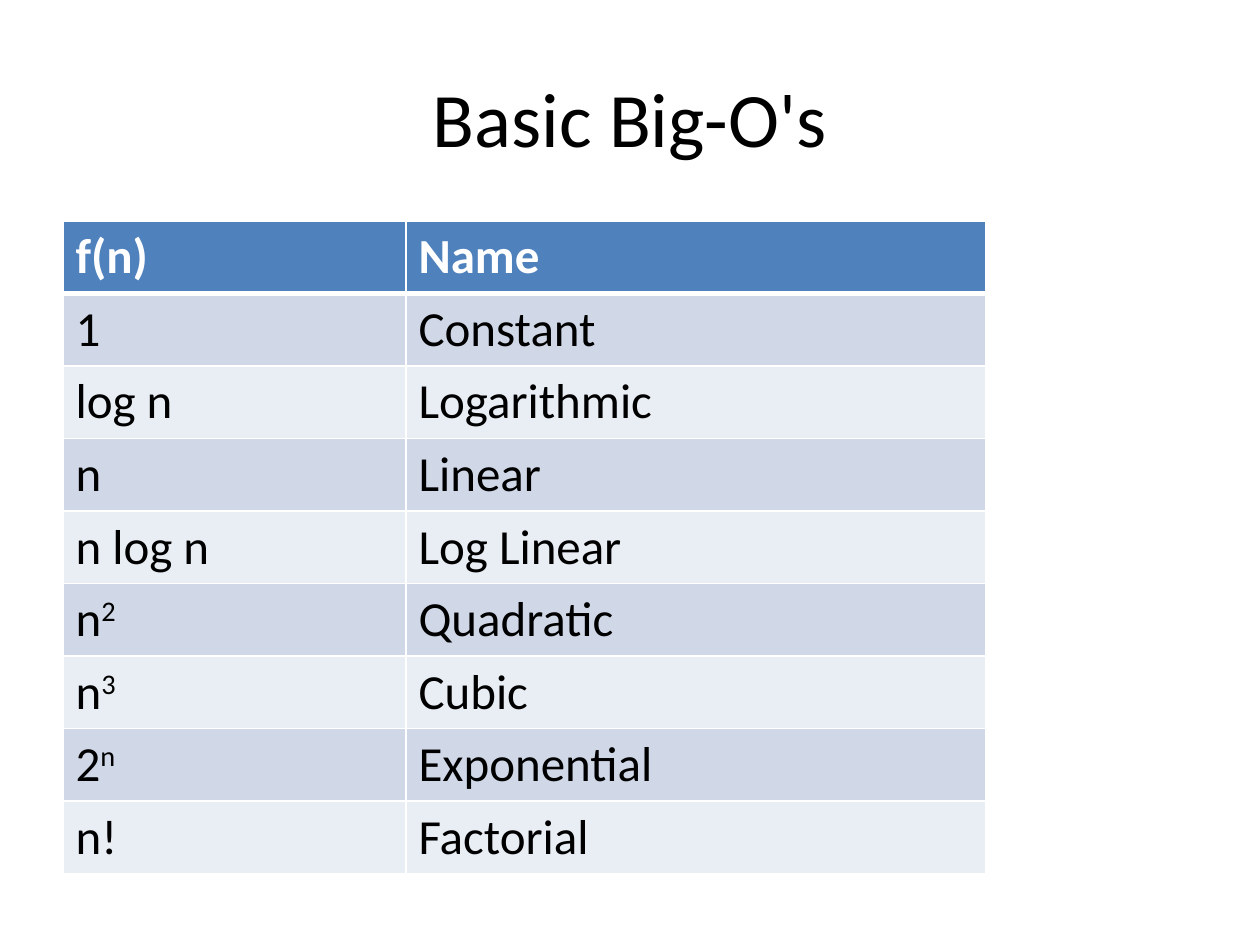
"""Build the slide that lists the basic Big-O growth classes."""
from lxml import etree
from pptx import Presentation
from pptx import util as u
from pptx.dml.color import RGBColor
from pptx.enum import text
from pptx.oxml.ns import qn

GROWTH_CLASSES = [
    ("f(n)", "Name"),
    ("1", "Constant"),
    ("log n", "Logarithmic"),
    ("n", "Linear"),
    ("n log n", "Log Linear"),
    ("n^2", "Quadratic"),
    ("n^3", "Cubic"),
    ("2^n", "Exponential"),
    ("n!", "Factorial"),
]


def px(length):
    return u.Emu(round(length * 914400 / 126))


def color(value):
    return RGBColor.from_string(value)


class SlideBuilder:
    font = "Calibri"
    ink, paper = "000000", "FFFFFF"
    header, bands = "4F81BD", ("E9EDF4", "D0D8E8")

    def __init__(self, presentation):
        self.slide = presentation.slides.add_slide(presentation.slide_layouts[5])

    def style(self, run, size, value, bold=False):
        run.font.name = self.font
        run.font.size = u.Pt(size)
        run.font.bold = bold
        run.font.color.rgb = color(value)

    def title(self, words, left, top, width, height):
        shape = self.slide.shapes.title
        shape.left, shape.top = px(left), px(top)
        shape.width, shape.height = px(width), px(height)
        frame = shape.text_frame
        frame.text = words
        frame.vertical_anchor = text.MSO_ANCHOR.MIDDLE
        paragraph = frame.paragraphs[0]
        paragraph.alignment = text.PP_ALIGN.CENTER
        self.style(paragraph.runs[0], 44, self.ink)

    def border(self, cell, side, points):
        properties = cell._tc.get_or_add_tcPr()
        line = etree.SubElement(properties, qn(f"a:ln{side}"), w=str(u.Pt(points)))
        fill = etree.SubElement(line, qn("a:solidFill"))
        etree.SubElement(fill, qn("a:srgbClr"), val=self.paper)

    def cell(self, cell, words, row):
        is_header = row == 0
        for side, points in (("L", 1), ("R", 1), ("T", 3 if row == 1 else 1), ("B", 3 if is_header else 1)):
            self.border(cell, side, points)
        cell.fill.solid()
        cell.fill.fore_color.rgb = color(self.header if is_header else self.bands[row % 2])
        base, _, exponent = words.partition("^")
        paragraph = cell.text_frame.paragraphs[0]
        for part in filter(None, (base, exponent)):
            run = paragraph.add_run()
            run.text = part
            self.style(run, 28, self.paper if is_header else self.ink, is_header)
        if exponent:
            run.font._element.set("baseline", "30000")

    def table(self, rows, left, top, widths, row_height):
        frame = self.slide.shapes.add_table(
            len(rows), len(widths), px(left), px(top), px(sum(widths)), px(row_height * len(rows)))
        table = frame.table
        for column, width in zip(table.columns, widths):
            column.width = px(width)
        for row, entries in enumerate(rows):
            table.rows[row].height = px(row_height)
            for column, words in enumerate(entries):
                self.cell(table.cell(row, column), words, row)


def main():
    presentation = Presentation()
    presentation.slide_width, presentation.slide_height = px(1260), px(945)
    builder = SlideBuilder(presentation)
    builder.title("Basic Big-O's", 63, 38, 1134, 158)
    builder.table(GROWTH_CLASSES, 63, 221, (343, 580), 71)
    presentation.save("out.pptx")


if __name__ == "__main__":
    main()
